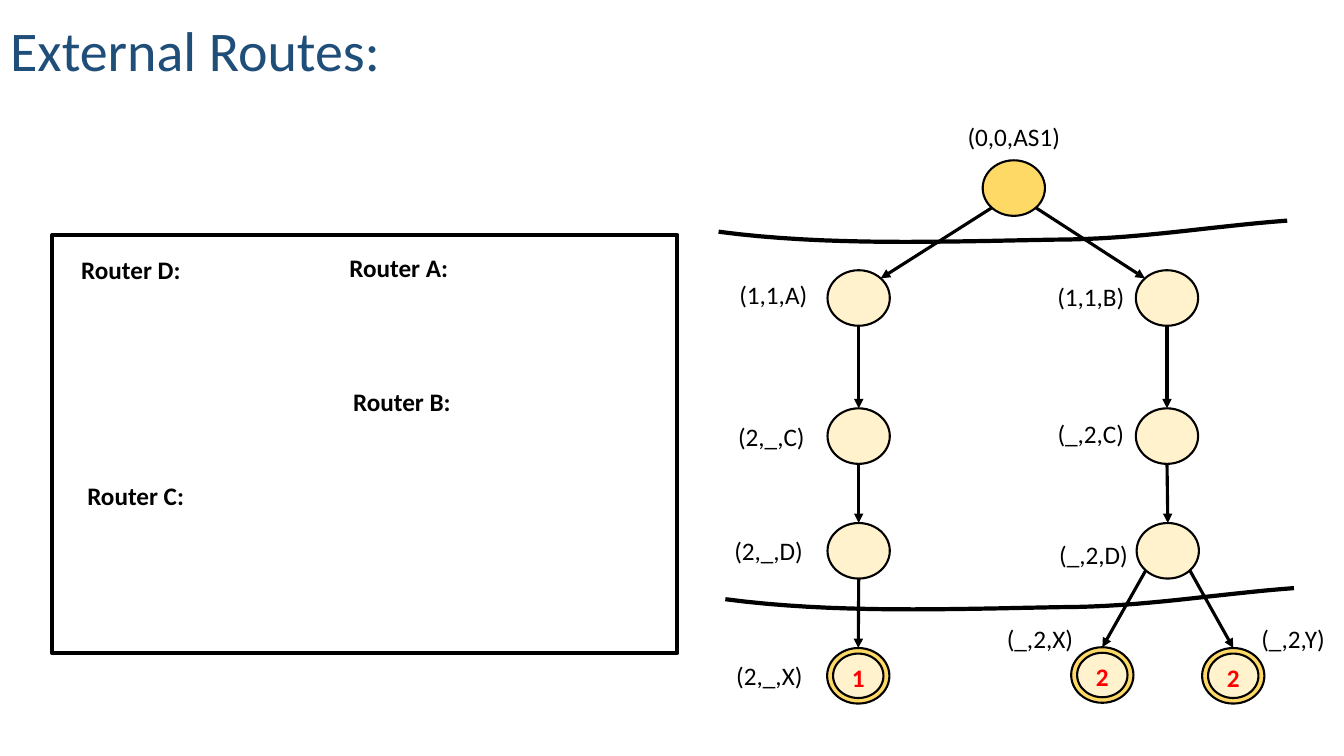
from pptx import Presentation
from pptx.dml.color import RGBColor
from pptx.enum.shapes import MSO_CONNECTOR, MSO_SHAPE
from pptx.enum.text import MSO_ANCHOR, MSO_AUTO_SIZE, PP_ALIGN
from pptx.oxml.ns import qn
from pptx.util import Cm, Pt
from lxml.etree import SubElement

BLACK, RED, NAVY = "000000", "FF0000", "1F4E79"
GOLD, CREAM = "FFD966", "FFF2CC"
NODE_SIZE = (1.57, 1.4)
INNER_SIZE = (1.27, 1.12)

# Points on a node's rim, in half widths and half heights from its centre
RIM = {"top": (0, -1), "bottom": (0, 1),
       "top left": (-0.71, -0.71), "top right": (0.71, -0.71),
       "bottom left": (-0.71, 0.71), "bottom right": (0.71, 0.71)}

# Name: centre, label, label offset, fill, number for a destination
NODES = {
    "root": ((7.55, 1.84), "(0,0,AS1)", (0, -1.31), GOLD, None),
    "A": ((3.64, 4.61), "(1,1,A)", (-2.15, -0.09), CREAM, None),
    "left C": ((3.64, 8.09), "(2,_,C)", (-2.2, 0), CREAM, None),
    "left D": ((3.64, 10.98), "(2,_,D)", (-2.27, 0), CREAM, None),
    "left X": ((3.63, 14.13), "(2,_,X)", (-2.24, 0), GOLD, "1"),
    "B": ((11.41, 4.61), "(1,1,B)", (-1.92, -0.04), CREAM, None),
    "right C": ((11.41, 8.09), "(_,2,C)", (-1.92, -0.06), CREAM, None),
    "right D": ((11.43, 10.98), "(_,2,D)", (-1.87, 0.09), CREAM, None),
    "right X": ((9.78, 14.11), "(_,2,X)", (-1.57, -0.93), GOLD, "2"),
    "right Y": ((13.08, 14.13), "(_,2,Y)", (1.51, -0.93), GOLD, "2"),
}

EDGES = [
    ("root", "bottom left", "A", "top right"),
    ("root", "bottom right", "B", "top left"),
    ("A", "bottom", "left C", "top"),
    ("left C", "bottom", "left D", "top"),
    ("left D", "bottom", "left X", "top"),
    ("B", "bottom", "right C", "top"),
    ("right C", "bottom", "right D", "top"),
    ("right D", "bottom left", "right X", "top"),
    ("right D", "bottom right", "right Y", "top"),
]

# Two joined cubic curves, relative to the start of the boundary
BOUNDARY = [[(0, 0), (2.72, 0.36), (5.69, 0.25), (8.43, 0.2)],
            [(8.43, 0.2), (10.51, 0.2), (12.34, -0.13), (14.33, -0.28)]]
BOUNDARY_STARTS = [(0.11, 2.94), (0.28, 12.2)]

ROUTERS = [("Router D:", (1.98, 0.87)), ("Router C:", (2.1, 6.56)),
           ("Router A:", (8.73, 0.81)), ("Router B:", (8.81, 4.19))]


def colour(value):
    return RGBColor.from_string(value)


def apply(target, values):
    for name, value in values.items():
        setattr(target, name, value)


def style_font(font, size, shade, bold=False):
    apply(font, {"name": "Calibri", "size": Pt(size), "bold": bold})
    font.color.rgb = colour(shade)


def style_shape(shape, weight, fill=None):
    shape.shadow.inherit = False
    shape.line.color.rgb = colour(BLACK)
    shape.line.width = Pt(weight)
    if fill:
        shape.fill.solid()
        shape.fill.fore_color.rgb = colour(fill)
    else:
        shape.fill.background()


def add_label(shapes, text, centre, shade=BLACK, bold=False):
    x, y = centre
    width, height = 3, 1
    box = shapes.add_textbox(Cm(x - width / 2), Cm(y - height / 2),
                             Cm(width), Cm(height))
    apply(box.text_frame, {"word_wrap": True, "margin_left": 0,
                           "margin_right": 0,
                           "vertical_anchor": MSO_ANCHOR.MIDDLE})
    para = box.text_frame.paragraphs[0]
    para.alignment = PP_ALIGN.CENTER
    span = para.add_run()
    span.text = text
    style_font(span.font, 18, shade, bold)


def add_ellipse(shapes, centre, size, fill):
    (x, y), (width, height) = centre, size
    ellipse = shapes.add_shape(MSO_SHAPE.OVAL, Cm(x - width / 2),
                               Cm(y - height / 2), Cm(width), Cm(height))
    style_shape(ellipse, 1.5, fill)


def add_arrow(shapes, start, end):
    arrow = shapes.add_connector(MSO_CONNECTOR.STRAIGHT,
                                 *[Cm(value) for value in start + end])
    arrow.line.color.rgb = colour(BLACK)
    arrow.line.width = Pt(2.25)
    SubElement(arrow.line._get_or_add_ln(), qn("a:tailEnd"), type="triangle")
    SubElement(arrow._element.spPr, qn("a:effectLst"))


def curve_point(controls, t):
    weights = ((1 - t) ** 3, 3 * t * (1 - t) ** 2, 3 * t * t * (1 - t), t ** 3)
    return tuple(sum(weight * point[axis]
                     for weight, point in zip(weights, controls))
                 for axis in (0, 1))


def add_boundary(shapes, left, top, steps=16):
    points = [curve_point(controls, step / steps)
              for controls in BOUNDARY for step in range(1, steps + 1)]
    builder = shapes.build_freeform(Cm(left), Cm(top), scale=1.0)
    builder.add_line_segments([(Cm(left + x), Cm(top + y)) for x, y in points],
                              close=False)
    style_shape(builder.convert_to_shape(), 3)


def add_title(page, left, top, width, height):
    title = page.shapes.title
    apply(title, {"left": Cm(left), "top": Cm(top),
                  "width": Cm(width), "height": Cm(height)})
    frame = title.text_frame
    frame.text = "External Routes:"
    apply(frame, {"auto_size": MSO_AUTO_SIZE.NONE, "word_wrap": True,
                  "vertical_anchor": MSO_ANCHOR.BOTTOM})
    para = frame.paragraphs[0]
    apply(para, {"alignment": PP_ALIGN.LEFT, "line_spacing": 0.9})
    style_font(para.runs[0].font, 40, NAVY)


def add_router_panel(page, left, top, width, height):
    shapes = page.shapes.add_group_shape().shapes
    frame = shapes.add_shape(MSO_SHAPE.RECTANGLE, Cm(left), Cm(top),
                             Cm(width), Cm(height))
    style_shape(frame, 3)
    for text, (x, y) in ROUTERS:
        add_label(shapes, text, (left + x, top + y), bold=True)


def add_route_graph(page, left, top):
    shapes = page.shapes.add_group_shape().shapes

    def rim_point(name, side):
        x, y = NODES[name][0]
        across, down = RIM[side]
        return (left + x + across * NODE_SIZE[0] / 2,
                top + y + down * NODE_SIZE[1] / 2)

    # Boundaries of the autonomous system
    for x, y in BOUNDARY_STARTS:
        add_boundary(shapes, left + x, top + y)

    # Nodes, with a second ring and a number at destinations
    for (x, y), text, (dx, dy), fill, number in NODES.values():
        centre = (left + x, top + y)
        add_ellipse(shapes, centre, NODE_SIZE, fill)
        if number:
            add_ellipse(shapes, centre, INNER_SIZE, CREAM)
            add_label(shapes, number, (left + x, top + y + 0.04), RED, True)
        add_label(shapes, text, (left + x + dx, top + y + dy))

    # Arrows from parent to child
    for parent, exit_side, child, entry_side in EDGES:
        add_arrow(shapes, rim_point(parent, exit_side),
                  rim_point(child, entry_side))


def main():
    deck = Presentation()
    apply(deck, {"slide_width": Cm(33.87), "slide_height": Cm(19.05)})
    page = deck.slides.add_slide(deck.slide_layouts[5])
    add_title(page, 0, -0.13, 16.7, 2.36)
    add_router_panel(page, 1.32, 5.92, 15.75, 10.54)
    add_route_graph(page, 18, 2.9)
    deck.save("out.pptx")


if __name__ == "__main__":
    main()
